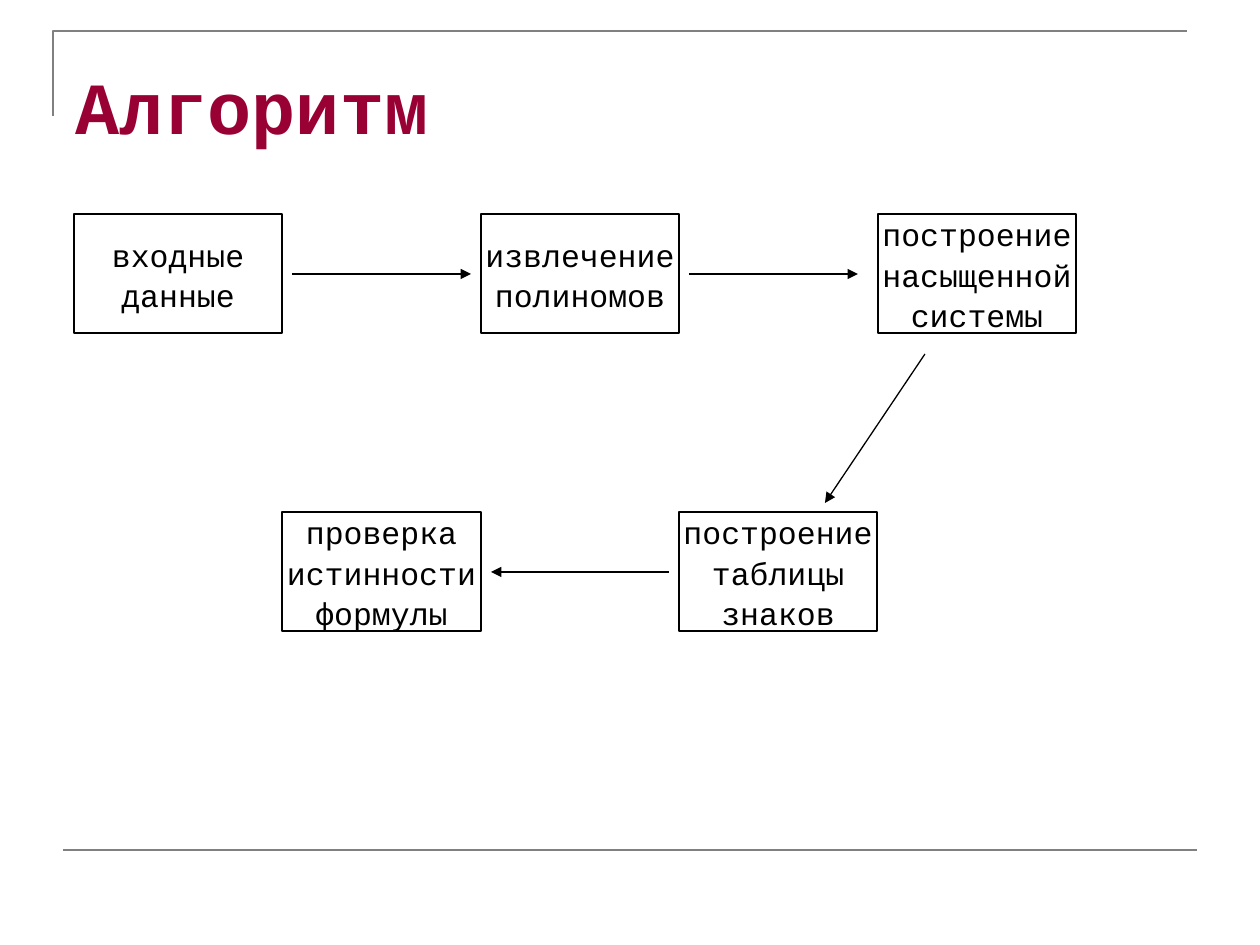
from lxml import etree
from pptx import Presentation, util as u
from pptx.dml.color import RGBColor
from pptx.enum import shapes, text
from pptx.oxml.ns import qn

PX = u.Inches(1) // 126
FONT = "Courier New"
BLACK = RGBColor(0, 0, 0)
WHITE = RGBColor(255, 255, 255)
GRAY = RGBColor(0x80, 0x80, 0x80)
CRIMSON = RGBColor(0x99, 0x00, 0x33)

TITLE = "Алгоритм"
BOX_H = 119
ROW_1, ROW_2 = 214, 512
# left, top, width, text
STEPS = [
    (74, ROW_1, 208, "входные\nданные"),
    (481, ROW_1, 198, "извлечение\nполиномов"),
    (878, ROW_1, 198, "построение\nнасыщенной\nсистемы"),
    (282, ROW_2, 199, "проверка\nистинности\nформулы"),
    (679, ROW_2, 198, "построение\nтаблицы\nзнаков"),
]
MID_1, MID_2 = ROW_1 + BOX_H // 2 + 1, ROW_2 + BOX_H // 2 + 1
# from x, from y, to x, to y
ARROWS = [
    (292, MID_1, 471, MID_1),
    (689, MID_1, 858, MID_1),
    (925, 354, 825, 503),
    (669, MID_2, 491, MID_2),
]
CORNER = [(53, 116), (53, 31), (1187, 31)]
FOOT_RULE = (63, 850, 1197, 850)


def px(*values):
    return [v * PX for v in values]


def style(r, size, color, bold=False):
    r.font.name, r.font.size, r.font.bold = FONT, u.Pt(size), bold
    r.font.color.rgb = color


def add_line(s, ends, color, width, arrow=False):
    c = s.shapes.add_connector(shapes.MSO_CONNECTOR.STRAIGHT, *px(*ends))
    c.line.color.rgb, c.line.width = color, u.Pt(width)
    if arrow:
        etree.SubElement(c.line._get_or_add_ln(), qn("a:tailEnd"), type="triangle")
    etree.SubElement(c._element.spPr, qn("a:effectLst"))


def add_step(s, left, top, width, label):
    sp = s.shapes.add_shape(shapes.MSO_SHAPE.RECTANGLE, *px(left, top, width, BOX_H))
    sp.shadow.inherit = False
    sp.fill.solid()
    sp.fill.fore_color.rgb = WHITE
    sp.line.color.rgb, sp.line.width = BLACK, u.Pt(0.75)
    tf = sp.text_frame
    tf.text = label
    tf.word_wrap = False
    tf.vertical_anchor = text.MSO_ANCHOR.MIDDLE
    for p in tf.paragraphs:
        p.alignment = text.PP_ALIGN.CENTER
        p.line_spacing = 1.07
        style(p.runs[0], 18, BLACK)


prs = Presentation()
prs.slide_width, prs.slide_height = px(1260, 945)
s = prs.slides.add_slide(prs.slide_layouts[6])

# Frame rules
fb = s.shapes.build_freeform(*CORNER[0], scale=PX)
fb.add_line_segments(CORNER[1:], close=False)
corner = fb.convert_to_shape()
corner.shadow.inherit = False
corner.fill.background()
corner.line.color.rgb, corner.line.width = GRAY, u.Pt(1.5)
add_line(s, FOOT_RULE, GRAY, 1.5)

# Title
tf = s.shapes.add_textbox(*px(63, 38, 1134, 157)).text_frame
tf.word_wrap = True
tf.margin_top = 23 * PX
tf.text = TITLE
style(tf.paragraphs[0].runs[0], 42, CRIMSON, bold=True)

# Flow chart
for step in STEPS:
    add_step(s, *step)
for ends in ARROWS:
    add_line(s, ends, BLACK, 0.75, arrow=True)

prs.save("out.pptx")
